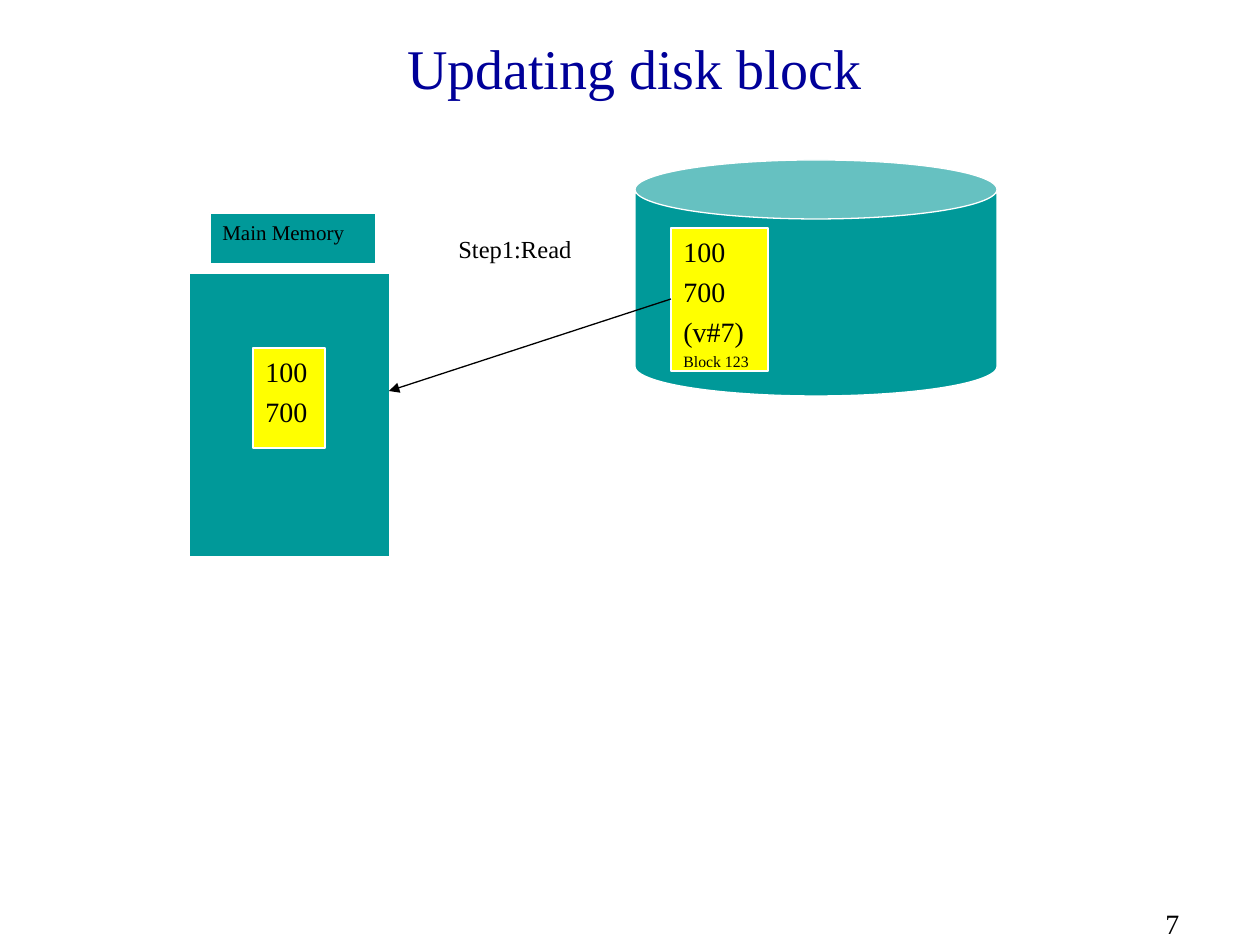
import pptx
import pptx.dml.color
import pptx.enum.shapes
import pptx.enum.text
import pptx.oxml.ns
import pptx.util
from lxml import etree

EMU_PER_PX = 914400 / 126
COLORS = {
    "background": "FFFFFF",
    "title": "000099",
    "storage": "009999",
    "block": "FFFF00",
    "outline": "FFFFFF",
    "ink": "000000",
}
SHAPES = pptx.enum.shapes.MSO_SHAPE


def px(length):
    return pptx.util.Emu(round(length * EMU_PER_PX))


def color(name):
    return pptx.dml.color.RGBColor.from_string(COLORS[name])


class DiagramSlide:
    font = "Times New Roman"
    line_width = pptx.util.Pt(0.75)
    spacing = 0.23  # space before a line, as a share of its text size

    def __init__(self, presentation):
        title_only = presentation.slide_layouts[5]
        self.slide = presentation.slides.add_slide(title_only)
        self.slide.background.fill.solid()
        self.slide.background.fill.fore_color.rgb = color("background")

    def set_lines(self, frame, lines, ink="ink", align=pptx.enum.text.PP_ALIGN.LEFT):
        """Fill a text frame with (text, size) lines."""
        frame.word_wrap = True
        frame.auto_size = pptx.enum.text.MSO_AUTO_SIZE.NONE
        for index, (text, size) in enumerate(lines):
            paragraph = frame.add_paragraph() if index else frame.paragraphs[0]
            paragraph.text = text
            paragraph.alignment = align
            paragraph.space_before = pptx.util.Pt(round(size * self.spacing, 1) if index else 0)
            paragraph.font.name = self.font
            paragraph.font.size = pptx.util.Pt(size)
            paragraph.font.color.rgb = color(ink)

    def title(self, text, size, left, top, width, height):
        title = self.slide.shapes.title
        title.left, title.top = px(left), px(top)
        title.width, title.height = px(width), px(height)
        title.text_frame.vertical_anchor = pptx.enum.text.MSO_ANCHOR.MIDDLE
        self.set_lines(title.text_frame, [(text, size)], "title",
                       pptx.enum.text.PP_ALIGN.CENTER)

    def shape(self, kind, fill, left, top, width, height, lines=()):
        shape = self.slide.shapes.add_shape(kind, px(left), px(top), px(width), px(height))
        shape.shadow.inherit = False
        shape.fill.solid()
        shape.fill.fore_color.rgb = color(fill)
        shape.line.color.rgb = color("outline")
        shape.line.width = self.line_width
        shape.text_frame.vertical_anchor = pptx.enum.text.MSO_ANCHOR.TOP
        self.set_lines(shape.text_frame, lines)

    def label(self, text, size, left, top, width, height):
        box = self.slide.shapes.add_textbox(px(left), px(top), px(width), px(height))
        self.set_lines(box.text_frame, [(text, size)])

    def arrow(self, start, end):
        arrow = self.slide.shapes.add_connector(
            pptx.enum.shapes.MSO_CONNECTOR.STRAIGHT, *map(px, start + end))
        arrow.line.color.rgb = color("ink")
        arrow.line.width = self.line_width
        qn = pptx.oxml.ns.qn
        properties = arrow._element.spPr
        etree.SubElement(properties.find(qn("a:ln")), qn("a:tailEnd"), type="triangle")
        etree.SubElement(properties, qn("a:effectLst"))


def main():
    presentation = pptx.Presentation()
    presentation.slide_width, presentation.slide_height = px(1260), px(945)

    slide = DiagramSlide(presentation)
    slide.title("Updating disk block", 32, 99, 24, 1071, 87)

    values = [("100", 16), ("700", 16)]
    slide.shape(SHAPES.CAN, "storage", 635, 160, 362, 236)
    slide.shape(SHAPES.RECTANGLE, "storage", 189, 273, 201, 284)
    slide.shape(SHAPES.RECTANGLE, "block", 671, 228, 97, 143,
                values + [("(v#7)", 16), ("Block 123", 9)])
    slide.arrow((671, 299), (389, 391))
    slide.label("Step1:Read", 14, 446, 228, 166, 43)
    slide.shape(SHAPES.RECTANGLE, "block", 253, 348, 72, 100, values)
    slide.shape(SHAPES.RECTANGLE, "storage", 210, 213, 166, 51, [("Main Memory", 12)])
    slide.label("7", 16, 1153, 900, 107, 45)

    presentation.save("out.pptx")


if __name__ == "__main__":
    main()
